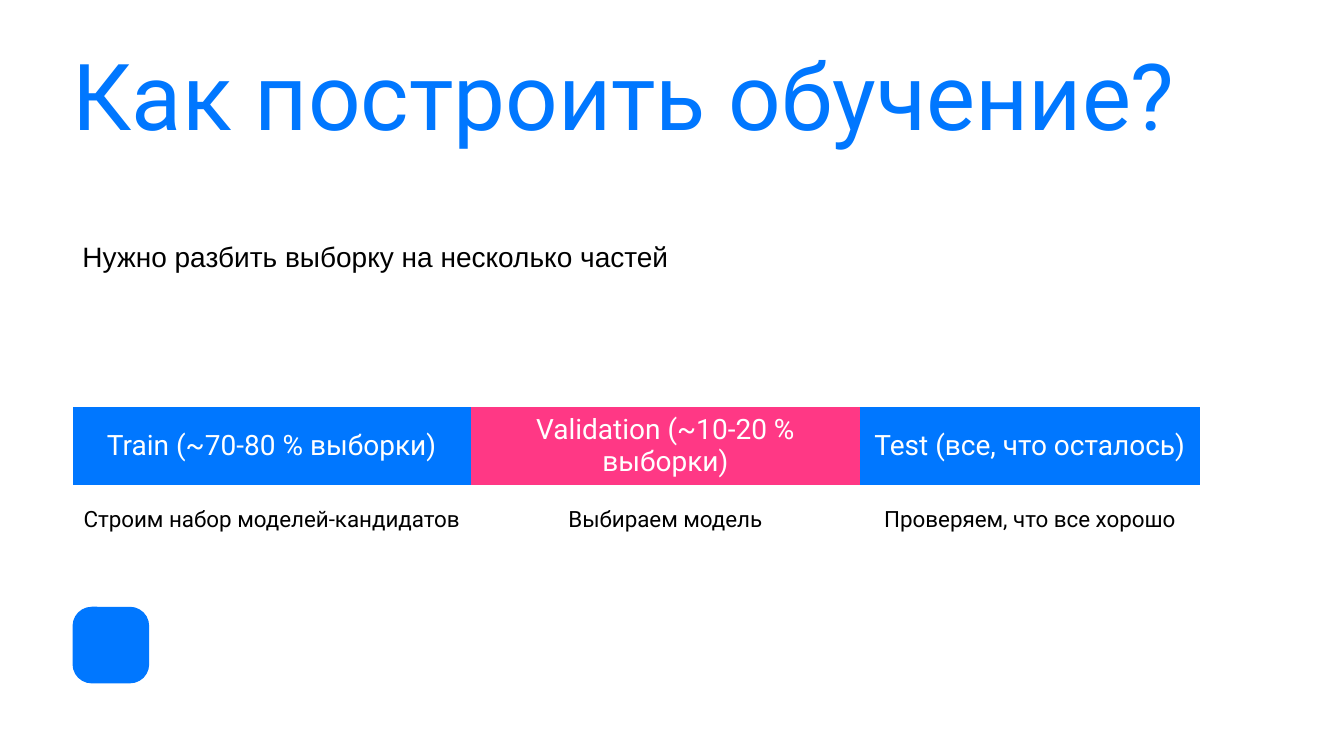
"""Build a slide on splitting a sample into train, validation and test parts."""
from pptx import Presentation
from pptx.dml.color import RGBColor
from pptx.enum.shapes import MSO_SHAPE
from pptx.enum.text import MSO_ANCHOR, PP_ALIGN
from pptx.oxml.ns import qn
from pptx.util import Inches, Pt

BLUE, PINK, WHITE, BLACK = "0077FF", "FF3885", "FFFFFF", "000000"
LEFT, WIDTH = Inches(0.72), Inches(11.18)
NO_STYLE_NO_GRID = "{2D5ABB26-0587-4C30-8999-92F81FD0307C}"


def color(value):
    return RGBColor.from_string(value)


def write(frame, text, size, ink=BLACK, font="Roboto", align=PP_ALIGN.LEFT, spacing=1.0):
    frame.word_wrap = True
    para = frame.paragraphs[0]
    para.alignment = align
    para.line_spacing = spacing
    para.space_before = Pt(0)
    span = para.add_run()
    span.text = text
    span.font.size = Pt(size)
    span.font.name = font
    span.font.color.rgb = color(ink)


deck = Presentation()
deck.slide_width, deck.slide_height = Inches(13.33), Inches(7.5)
page = deck.slides.add_slide(deck.slide_layouts[5])
page.background.fill.solid()
page.background.fill.fore_color.rgb = color(WHITE)

badge = page.shapes.add_shape(
    MSO_SHAPE.ROUNDED_RECTANGLE, LEFT, Inches(6.02), Inches(0.76), Inches(0.76)
)
badge.adjustments[0] = 0.25
badge.shadow.inherit = False
badge.fill.solid()
badge.fill.fore_color.rgb = color(BLUE)
badge.line.fill.background()

title = page.shapes.title
title.left, title.top, title.width, title.height = LEFT, Inches(0.49), WIDTH, Inches(1)
frame = title.text_frame
frame.margin_left = frame.margin_top = frame.margin_right = frame.margin_bottom = 0
frame.vertical_anchor = MSO_ANCHOR.BOTTOM
write(frame, "Как построить обучение?", 66, ink=BLUE, spacing=0.9)

intro = page.shapes.add_textbox(LEFT, Inches(2.33), Inches(9.07), Inches(0.44))
write(intro.text_frame, "Нужно разбить выборку на несколько частей", 20, font="Arial")

parts = [
    ("Train (~70-80 % выборки)", "Строим набор моделей-кандидатов", BLUE, 3.95),
    ("Validation (~10-20 % выборки)", "Выбираем модель", PINK, 3.86),
    ("Test (все, что осталось)", "Проверяем, что все хорошо", BLUE, 3.37),
]
table = page.shapes.add_table(2, len(parts), LEFT, Inches(4.04), WIDTH, Inches(1.39)).table
table.first_row = table.horz_banding = False
table._tbl.tblPr.find(qn("a:tableStyleId")).text = NO_STYLE_NO_GRID
for row in table.rows:
    row.height = Inches(0.69)

for index, (name, purpose, shade, width) in enumerate(parts):
    table.columns[index].width = Inches(width)
    head, note = table.cell(0, index), table.cell(1, index)
    head.fill.solid()
    head.fill.fore_color.rgb = color(shade)
    note.fill.background()
    for cell, text, size, ink in ((head, name, 20, WHITE), (note, purpose, 16, BLACK)):
        cell.vertical_anchor = MSO_ANCHOR.MIDDLE
        write(cell.text_frame, text, size, ink=ink, align=PP_ALIGN.CENTER)

deck.save("out.pptx")
